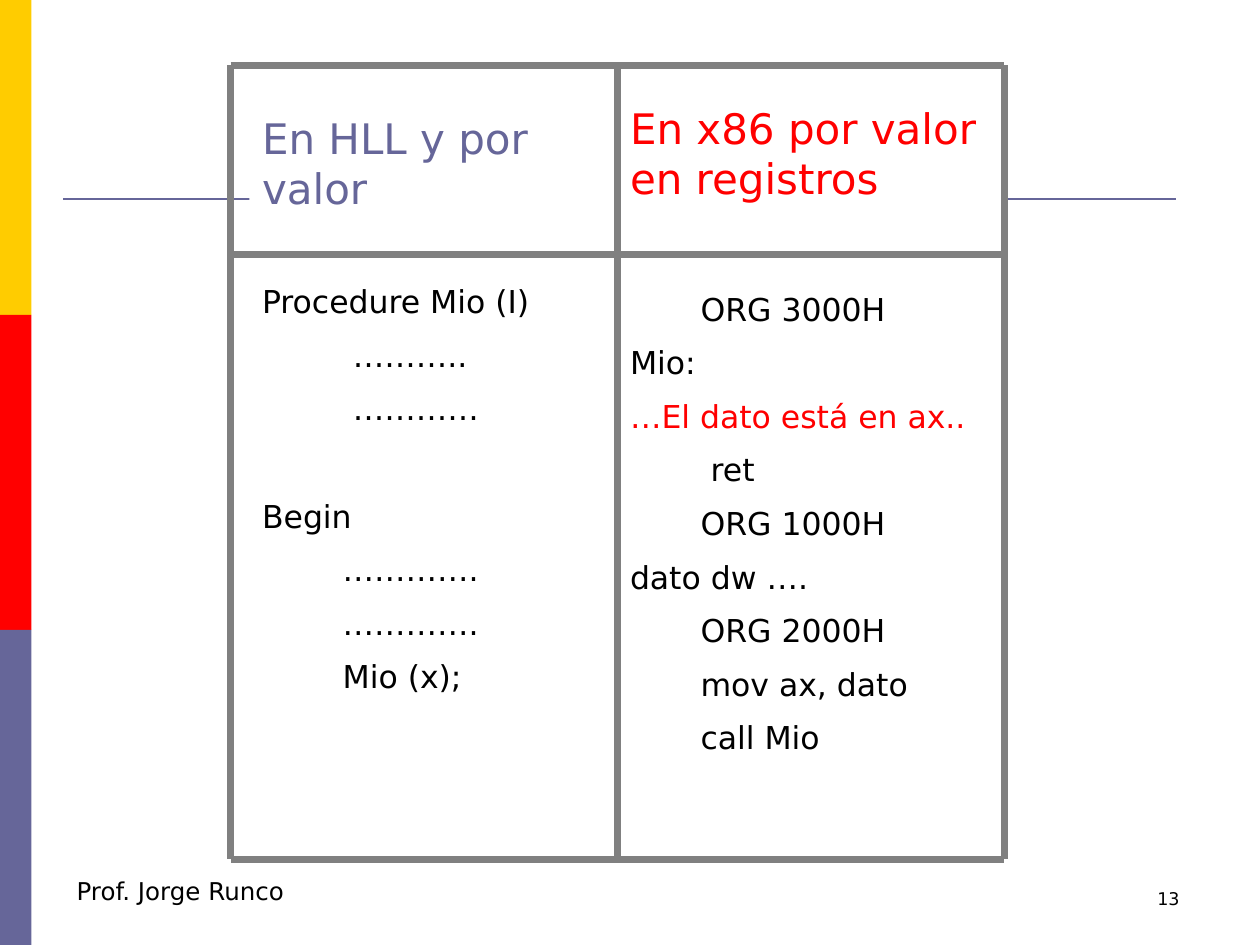
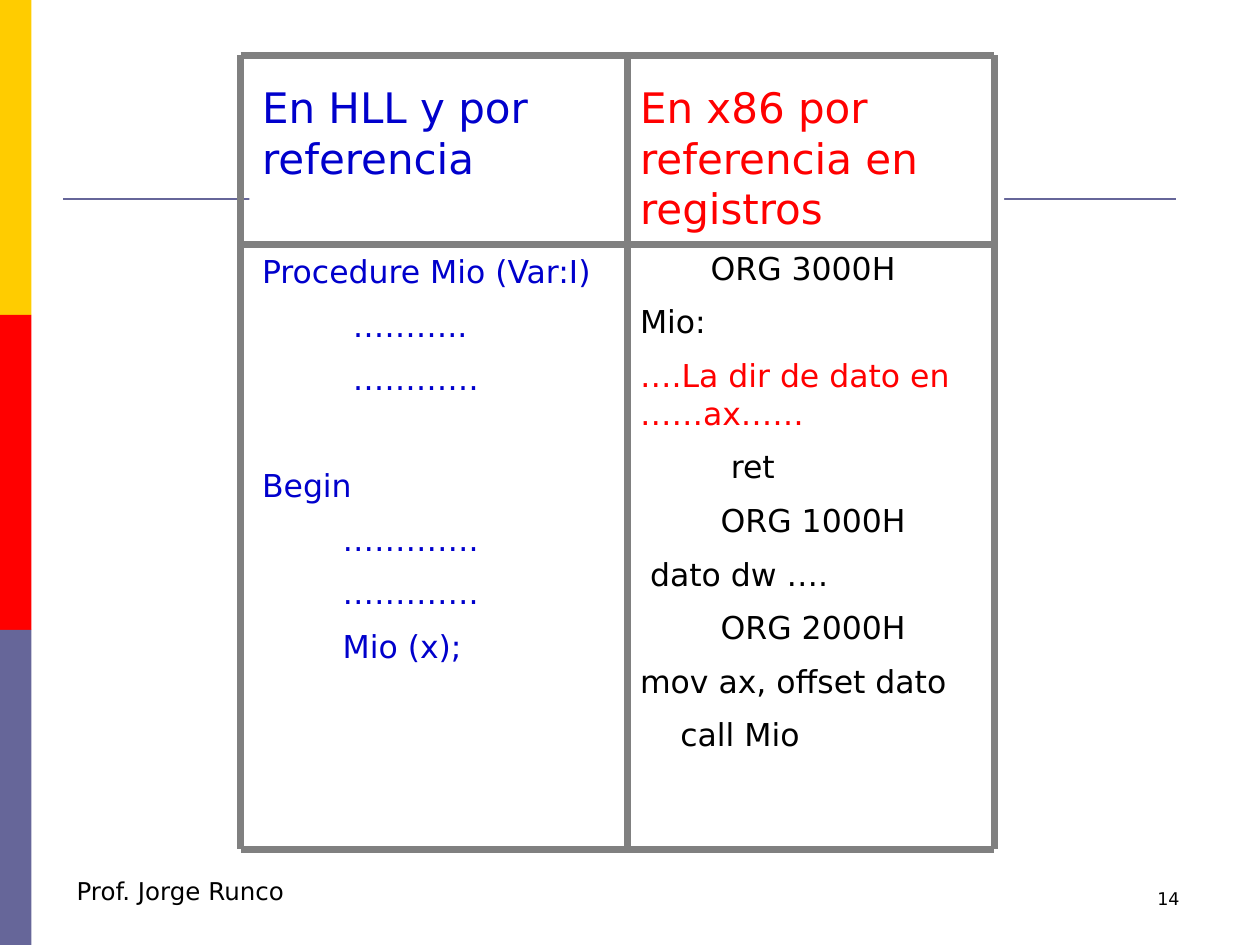
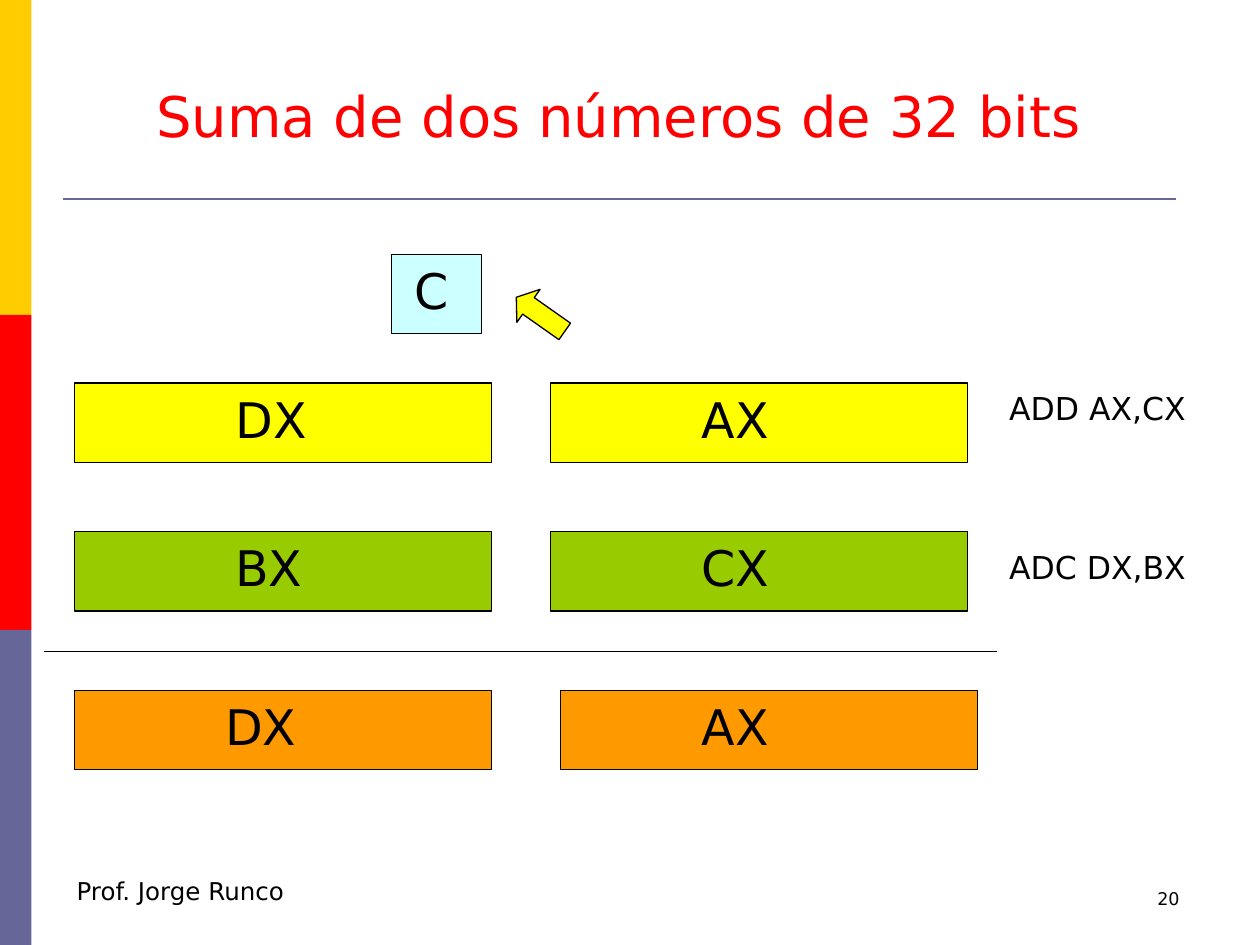
from dataclasses import dataclass

from lxml import etree
from pptx import Presentation
from pptx.dml.color import RGBColor
from pptx.enum.shapes import MSO_CONNECTOR, MSO_SHAPE
from pptx.enum.text import MSO_ANCHOR, MSO_AUTO_SIZE, PP_ALIGN
from pptx.oxml.ns import qn
from pptx.util import Inches, Pt

RECTANGLE = MSO_SHAPE.RECTANGLE
UP_ARROW = MSO_SHAPE.UP_ARROW
STRAIGHT = MSO_CONNECTOR.STRAIGHT
TOP = MSO_ANCHOR.TOP
NO_AUTOFIT = MSO_AUTO_SIZE.NONE
LEFT = PP_ALIGN.LEFT
RIGHT = PP_ALIGN.RIGHT

FONT = "DejaVu Sans"
BLACK = "000000"
WHITE = "FFFFFF"
RED = "FF0000"
BLUE = "0000CC"
SLATE = "666699"
GREY = "808080"
GOLD = "FFCC00"
YELLOW = "FFFF00"
GREEN = "99CC00"
ORANGE = "FF9900"
PALE_CYAN = "CCFFFF"

TITLE_ONLY_LAYOUT = 5
TWO_CONTENT_LAYOUT = 3
BAND_WIDTH, BAND_HEIGHT = 0.25, 2.5
HEADING_SIZE, CODE_SIZE, REGISTER_SIZE = 24, 18, 28
INDENT_STEP = 0.08
REGISTER_WIDTH, REGISTER_HEIGHT = 3.31, 0.63
LABEL_HEIGHT = 0.57


@dataclass(frozen=True)
class Box:
    left: float
    top: float
    width: float
    height: float

    def lengths(self) -> list:
        return [Inches(n) for n in (self.left, self.top, self.width, self.height)]


@dataclass(frozen=True)
class Line:
    text: str
    indent: int = 0
    color: str = BLACK
    size: int = CODE_SIZE
    gap: float | None = None


@dataclass(frozen=True)
class Column:
    box: Box
    lines: list[Line]


@dataclass(frozen=True)
class Comparison:
    number: int
    verticals: tuple[float, ...]
    horizontals: tuple[float, ...]
    columns: tuple[Column, Column]


@dataclass(frozen=True)
class Register:
    name: str
    left: float
    top: float
    color: str
    label_left: float
    width: float = REGISTER_WIDTH
    label_width: float = 0.87


def rgb(color: str) -> RGBColor:
    return RGBColor.from_string(color)


def write(frame, text: str, *, size: float, color: str = BLACK, align=LEFT,
          indent: float = 0, gap: float | None = None, first: bool = True) -> None:
    paragraph = frame.paragraphs[0] if first else frame.add_paragraph()
    paragraph.alignment = align
    paragraph.space_before = Pt(size / 2 if gap is None else gap)
    properties = paragraph._p.get_or_add_pPr()
    properties.set("marL", str(Inches(indent)))
    properties.set("indent", "0")
    etree.SubElement(properties, qn("a:buNone"))
    run = paragraph.add_run()
    run.text = text
    run.font.name = FONT
    run.font.size = Pt(size)
    run.font.color.rgb = rgb(color)


def place(shape, box: Box):
    shape.left, shape.top, shape.width, shape.height = box.lengths()
    frame = shape.text_frame
    frame.word_wrap = True
    frame.auto_size = NO_AUTOFIT
    frame.vertical_anchor = TOP
    return frame


def add_text(slide, box: Box, text: str, **text_format):
    shape = slide.shapes.add_textbox(*box.lengths())
    write(place(shape, box), text, **text_format)
    return shape


def add_block(slide, box: Box, color: str, *, outline: bool = True, preset=RECTANGLE):
    shape = slide.shapes.add_shape(preset, *box.lengths())
    shape.shadow.inherit = False
    shape.fill.solid()
    shape.fill.fore_color.rgb = rgb(color)
    if outline:
        shape.line.color.rgb = rgb(BLACK)
        shape.line.width = Pt(0.75)
    else:
        shape.line.fill.background()
    return shape


def add_line(slide, start: tuple[float, float], end: tuple[float, float],
             color: str, width: float):
    points = [Inches(n) for n in (*start, *end)]
    connector = slide.shapes.add_connector(STRAIGHT, *points)
    connector.line.color.rgb = rgb(color)
    connector.line.width = Pt(width)
    etree.SubElement(connector._element.spPr, qn("a:effectLst"))
    return connector


def decorate_master(presentation, slide) -> None:
    decorations = [
        add_block(slide, Box(0, row * BAND_HEIGHT, BAND_WIDTH, BAND_HEIGHT),
                  color, outline=False)
        for row, color in enumerate((GOLD, RED, SLATE))
    ]
    decorations.append(add_line(slide, (0.5, 1.58), (9.33, 1.58), SLATE, 1.5))
    decorations.append(add_text(slide, Box(0.51, 6.9, 2.2, 0.33),
                                "Prof. Jorge Runco", size=14))
    tree = presentation.slide_master.shapes._spTree
    for shape in decorations:
        tree.append(shape._element)


def add_slide(presentation, layout: int, number: int):
    slide = presentation.slides.add_slide(presentation.slide_layouts[layout])
    add_text(slide, Box(7.13, 7, 2.33, 0.5), str(number), size=10, align=RIGHT)
    return slide


def fill_column(placeholder, column: Column) -> None:
    frame = place(placeholder, column.box)
    placeholder.fill.solid()
    placeholder.fill.fore_color.rgb = rgb(WHITE)
    for index, line in enumerate(column.lines):
        write(frame, line.text, size=line.size, color=line.color, gap=line.gap,
              indent=line.indent * INDENT_STEP, first=index == 0)


def add_comparison(presentation, comparison: Comparison):
    slide = add_slide(presentation, TWO_CONTENT_LAYOUT, comparison.number)
    title = slide.shapes.title._element
    title.getparent().remove(title)
    for placeholder, column in zip(slide.placeholders, comparison.columns):
        fill_column(placeholder, column)
    verticals, horizontals = comparison.verticals, comparison.horizontals
    for x in verticals:
        add_line(slide, (x, horizontals[0]), (x, horizontals[-1]), GREY, 4)
    for y in horizontals:
        add_line(slide, (verticals[0], y), (verticals[-1], y), GREY, 4)
    return slide


def procedure_lines(heading: str, signature: str, heading_color: str,
                    color: str) -> list[Line]:
    return [
        Line(heading, color=heading_color, size=HEADING_SIZE),
        Line(signature, color=color, gap=39.6),
        Line("………..", 9, color),
        Line("…………", 9, color),
        Line("Begin", color=color, gap=39.6),
        Line("………….", 8, color),
        Line("………….", 8, color),
        Line("Mio (x);", 8, color),
    ]


def add_register(slide, register: Register) -> None:
    add_block(slide, Box(register.left, register.top, register.width, REGISTER_HEIGHT),
              register.color)
    add_text(slide, Box(register.label_left, register.top, register.label_width,
                        LABEL_HEIGHT), register.name, size=REGISTER_SIZE)


def add_sum(presentation) -> None:
    slide = add_slide(presentation, TITLE_ONLY_LAYOUT, 20)
    write(place(slide.shapes.title, Box(1.14, 0.6, 8.11, 0.63)),
          "Suma de dos números de 32 bits", size=32, color=RED)
    for register in REGISTERS:
        add_register(slide, register)
    add_line(slide, (0.35, 5.17), (7.91, 5.17), BLACK, 0.75)
    for top, instruction in ((3.04, "ADD AX,CX"), (4.3, "ADC DX,BX")):
        add_text(slide, Box(7.91, top, 1.89, 0.4), instruction, size=CODE_SIZE)
    carry_arrow = add_block(slide, Box(4.13, 2.26, 0.32, 0.47), YELLOW, preset=UP_ARROW)
    carry_arrow.adjustments[0] = 0.5
    carry_arrow.adjustments[1] = 0.37
    carry_arrow.rotation = 305.2


BY_VALUE = Comparison(
    13, (1.83, 4.9, 7.97), (0.52, 2.02, 6.82),
    (
        Column(Box(1.98, 0.84, 2.99, 4.96),
               procedure_lines("En HLL y por valor", "Procedure Mio (I)", SLATE, BLACK)),
        Column(Box(4.9, 0.76, 3.07, 5.61), [
            Line("En x86 por valor en registros", color=RED, size=HEADING_SIZE),
            Line("ORG 3000H", 7, gap=49.6),
            Line("Mio:"),
            Line("…El dato está en ax..", color=RED),
            Line("ret", 8),
            Line("ORG 1000H", 7),
            Line("dato dw …."),
            Line("ORG 2000H", 7),
            Line("mov ax, dato", 7),
            Line("call Mio", 7),
        ]),
    ),
)

BY_REFERENCE = Comparison(
    14, (1.91, 4.98, 7.89), (0.44, 1.94, 6.74),
    (
        Column(Box(1.98, 0.6, 3.07, 4.96),
               procedure_lines("En HLL y por referencia", "Procedure Mio (Var:I)",
                               BLUE, BLUE)),
        Column(Box(4.98, 0.6, 2.99, 5.71), [
            Line("En x86 por referencia en registros", color=RED, size=HEADING_SIZE),
            Line("ORG 3000H", 7),
            Line("Mio:"),
            Line("….La dir de dato en ……ax……", color=RED),
            Line("ret", 9),
            Line("ORG 1000H", 8),
            Line("dato dw ….", 1),
            Line("ORG 2000H", 8),
            Line("mov ax, offset dato"),
            Line("call Mio", 4),
        ]),
    ),
)

REGISTERS = (
    Register("DX", 0.59, 3.04, YELLOW, 1.77),
    Register("AX", 4.37, 3.04, YELLOW, 5.47),
    Register("BX", 0.59, 4.22, GREEN, 1.77),
    Register("CX", 4.37, 4.22, GREEN, 5.47),
    Register("DX", 0.59, 5.48, ORANGE, 1.69),
    Register("AX", 4.45, 5.48, ORANGE, 5.47),
    Register("C", 3.11, 2.02, PALE_CYAN, 3.19, width=0.71, label_width=0.55),
)


def main() -> None:
    presentation = Presentation()
    presentation.slide_width = Inches(10)
    presentation.slide_height = Inches(7.5)
    first_slide = add_comparison(presentation, BY_VALUE)
    decorate_master(presentation, first_slide)
    add_comparison(presentation, BY_REFERENCE)
    add_sum(presentation)
    presentation.save("out.pptx")


if __name__ == "__main__":
    main()
